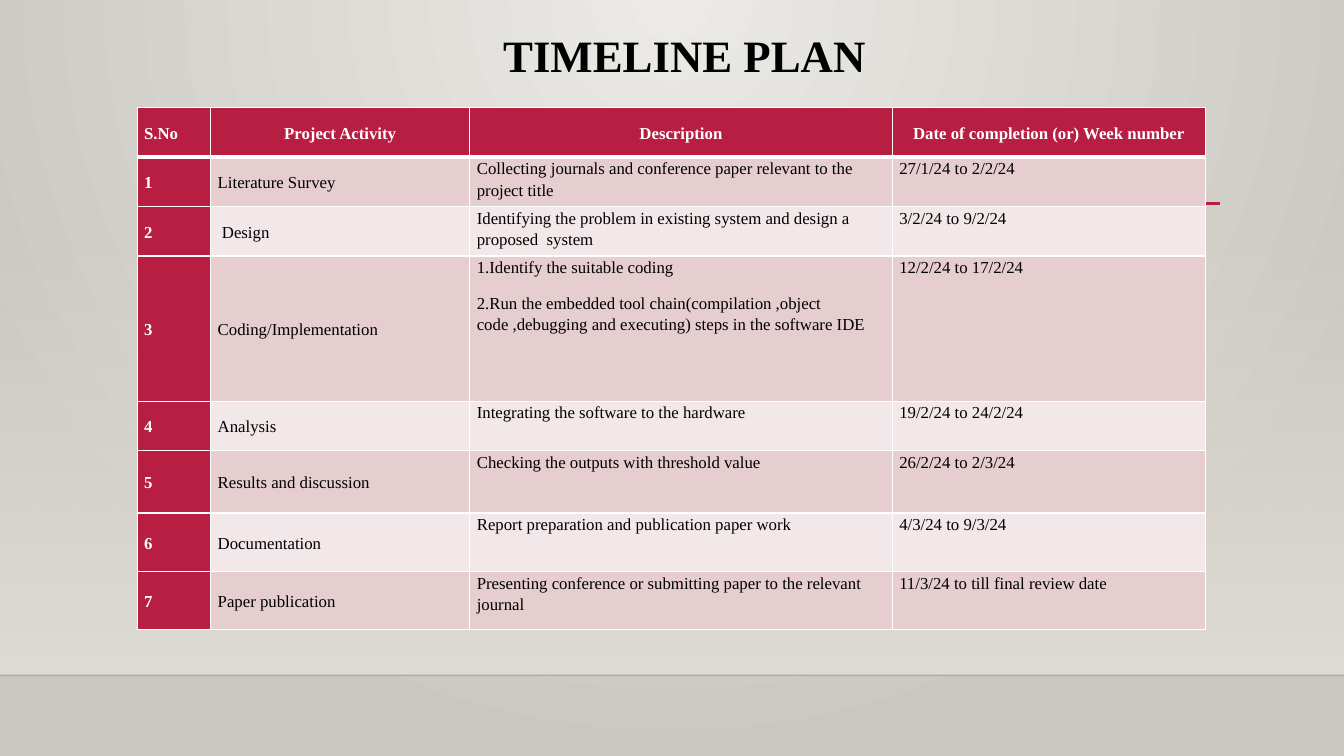
"""Build the timeline plan slide with its project activity table."""
from lxml import etree
from pptx import Presentation
from pptx.dml.color import RGBColor
from pptx.enum.shapes import MSO_CONNECTOR, MSO_SHAPE
from pptx.enum.text import MSO_ANCHOR, PP_ALIGN
from pptx.oxml.ns import qn
from pptx.util import Inches, Pt

STRAIGHT, RECTANGLE = MSO_CONNECTOR.STRAIGHT, MSO_SHAPE.RECTANGLE
TOP, MIDDLE = MSO_ANCHOR.TOP, MSO_ANCHOR.MIDDLE
LEFT, CENTER = PP_ALIGN.LEFT, PP_ALIGN.CENTER

FONT = "Times New Roman"
BLACK = RGBColor(0x00, 0x00, 0x00)
WHITE = RGBColor(0xFF, 0xFF, 0xFF)
CRIMSON = RGBColor(0xB7, 0x1E, 0x42)
ROSE = RGBColor(0xE6, 0xCD, 0xCF)
PALE_ROSE = RGBColor(0xF3, 0xE8, 0xE9)
LIGHT_STONE = RGBColor(0xEC, 0xEA, 0xE7)
DARK_STONE = RGBColor(0xCA, 0xC7, 0xC1)
WALL = RGBColor(0xDF, 0xDB, 0xD5)

TITLE = "TIMELINE PLAN"
HEADER = ("S.No", "Project Activity", "Description", "Date of completion (or) Week number")
ACTIVITIES = [
    ("Literature Survey",
     ["Collecting journals and conference paper relevant to the project title"],
     "27/1/24 to 2/2/24"),
    (" Design",
     ["Identifying the problem in existing system and design a proposed  system"],
     "3/2/24 to 9/2/24"),
    ("Coding/Implementation",
     ["1.Identify the suitable coding",
      "2.Run the embedded tool chain(compilation ,object code ,debugging and executing) "
      "steps in the software IDE"],
     "12/2/24 to 17/2/24"),
    ("Analysis", ["Integrating the software to the hardware"], "19/2/24 to 24/2/24"),
    ("Results and discussion", ["Checking the outputs with threshold value"], "26/2/24 to 2/3/24"),
    ("Documentation", ["Report preparation and publication paper work"], "4/3/24 to 9/3/24"),
    ("Paper publication",
     ["Presenting conference or submitting paper to the relevant journal"],
     "11/3/24 to till final review date"),
]
COLUMN_WIDTHS = (0.73, 2.57, 4.19, 3.11)
ROW_HEIGHTS = (0.49, 0.49, 0.49, 1.44, 0.49, 0.62, 0.58, 0.58)
SLIDE_WIDTH, SLIDE_HEIGHT = 13.33, 7.5
FLOOR = 6.7


def set_alpha(color_element, percent):
    etree.SubElement(color_element, qn("a:alpha")).set("val", str(percent * 1000))


def set_gradient(fill, first, last):
    fill.gradient()
    for stop, color in zip(fill.gradient_stops, (first, last)):
        stop.color.rgb = color


def add_background(page):
    set_gradient(page.background.fill, LIGHT_STONE, DARK_STONE)
    gradient = page._element.find(".//" + qn("a:gradFill"))
    gradient.remove(gradient.find(qn("a:lin")))
    circle = etree.SubElement(gradient, qn("a:path"))
    circle.set("path", "circle")
    center = etree.SubElement(circle, qn("a:fillToRect"))
    for side, percent in zip("ltrb", (43, 0, 43, 100)):
        center.set(side, str(percent * 1000))


def add_wall(page):
    top = 2.21
    wall = page.shapes.add_shape(
        RECTANGLE, 0, Inches(top), Inches(SLIDE_WIDTH), Inches(FLOOR - top))
    wall.shadow.inherit = False
    wall.line.fill.background()
    set_gradient(wall.fill, WALL, WALL)
    wall.fill.gradient_angle = 270
    set_alpha(wall._element.find(".//" + qn("a:gs"))[0], 0)


def add_rule(page, left, right, y, color, width):
    rule = page.shapes.add_connector(
        STRAIGHT, Inches(left), Inches(y), Inches(right), Inches(y))
    rule.line.color.rgb = color
    rule.line.width = Pt(width)
    etree.SubElement(rule._element.spPr, qn("a:effectLst"))
    return rule


def write(frame, lines, size, color, bold, align, line_spacing, space_after):
    for index, line in enumerate(lines):
        para = frame.add_paragraph() if index else frame.paragraphs[0]
        para.alignment = align
        para.line_spacing = line_spacing
        para.space_after = Pt(space_after)
        span = para.add_run()
        span.text = line
        span.font.name = FONT
        span.font.size = Pt(size)
        span.font.bold = bold
        span.font.color.rgb = color


def add_title(page):
    box = page.shapes.add_textbox(Inches(1.54), Inches(0.29), Inches(10.5), Inches(1.15))
    box.text_frame.word_wrap = True
    write(box.text_frame, [TITLE], 32, BLACK, True, CENTER, 0.9, 0)


def set_borders(cell, widths):
    properties = cell._tc.get_or_add_tcPr()
    for index, (side, width) in enumerate(zip("LRTB", widths)):
        border = etree.Element(qn("a:ln" + side), w=str(Pt(width)))
        solid = etree.SubElement(border, qn("a:solidFill"))
        etree.SubElement(solid, qn("a:srgbClr")).set("val", str(WHITE))
        properties.insert(index, border)


def fill_cell(cell, lines, row, column):
    accent = row == 0 or column == 0
    cell.fill.solid()
    cell.fill.fore_color.rgb = CRIMSON if accent else ROSE if row % 2 else PALE_ROSE
    cell.margin_left = cell.margin_right = Inches(0.07)
    cell.margin_top = cell.margin_bottom = 0
    cell.vertical_anchor = MIDDLE if row == 0 or column < 2 else TOP
    align = CENTER if row == 0 and column else LEFT
    write(cell.text_frame, lines, 12, WHITE if accent else BLACK, accent, align, 1.15, 10)
    set_borders(cell, (1, 1, 3 if row == 1 else 1, 3 if row == 0 else 1))


def add_timeline(page):
    rows = [[[label] for label in HEADER]]
    for number, (activity, description, dates) in enumerate(ACTIVITIES, 1):
        rows.append([[str(number)], [activity], description, [dates]])
    table = page.shapes.add_table(
        len(rows), len(HEADER), Inches(1.36), Inches(1.07),
        Inches(sum(COLUMN_WIDTHS)), Inches(sum(ROW_HEIGHTS))).table
    for column, width in zip(table.columns, COLUMN_WIDTHS):
        column.width = Inches(width)
    for row, height in zip(table.rows, ROW_HEIGHTS):
        row.height = Inches(height)
    for row_index, row in enumerate(rows):
        for column_index, lines in enumerate(row):
            fill_cell(table.cell(row_index, column_index), lines, row_index, column_index)


def main():
    deck = Presentation()
    deck.slide_width, deck.slide_height = Inches(SLIDE_WIDTH), Inches(SLIDE_HEIGHT)
    page = deck.slides.add_slide(deck.slide_layouts[6])
    add_background(page)
    add_wall(page)
    floor_line = add_rule(page, 0, SLIDE_WIDTH, FLOOR, BLACK, 1)
    set_alpha(floor_line._element.find(".//" + qn("a:srgbClr")), 20)
    add_rule(page, 1.59, 12.1, 2.02, CRIMSON, 2.5)
    add_title(page)
    add_timeline(page)
    deck.save("out.pptx")


if __name__ == "__main__":
    main()
